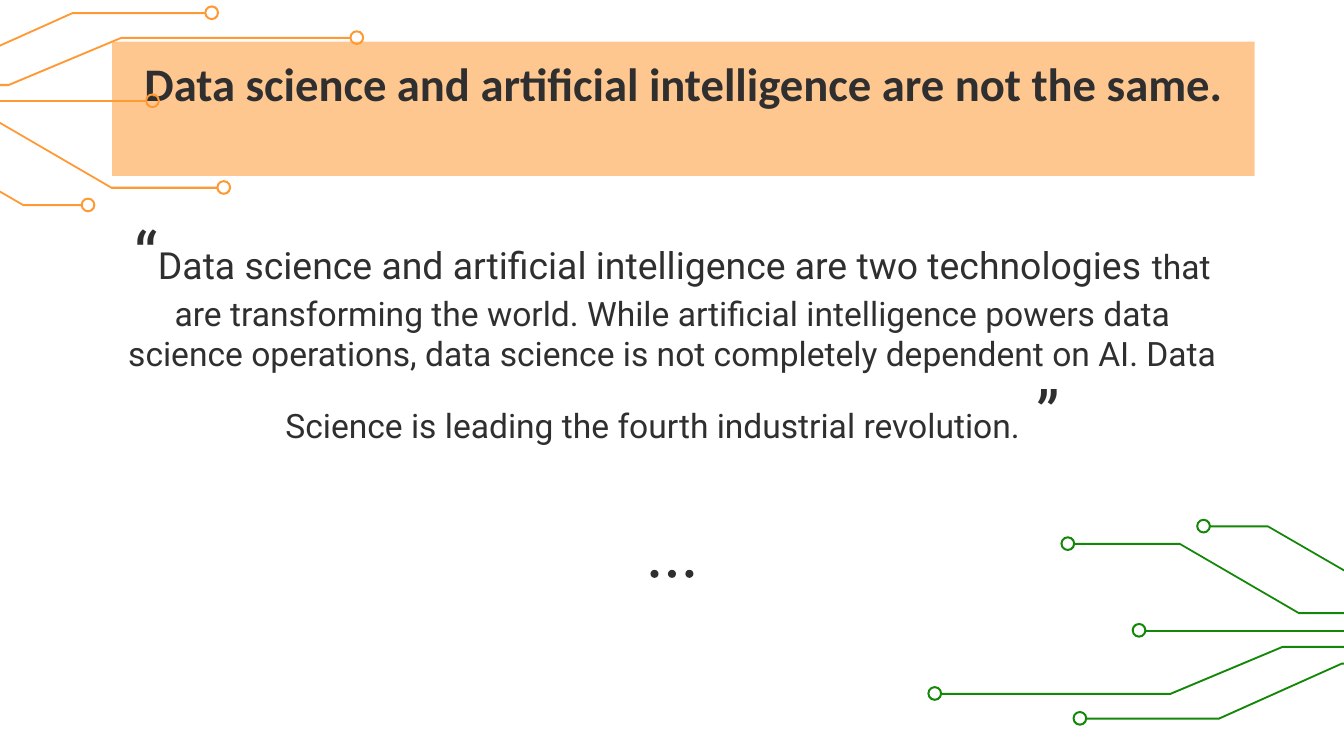
from dataclasses import dataclass

from lxml import etree
from pptx import Presentation
from pptx.dml.color import RGBColor
from pptx.enum.shapes import MSO_SHAPE
from pptx.enum.text import MSO_ANCHOR, MSO_AUTO_SIZE, PP_ALIGN
from pptx.oxml.ns import qn
from pptx.util import Pt

PX = 4572
DONUT, OVAL = MSO_SHAPE.DONUT, MSO_SHAPE.OVAL
TOP, BOTTOM = MSO_ANCHOR.TOP, MSO_ANCHOR.BOTTOM
CENTER, NO_FIT = PP_ALIGN.CENTER, MSO_AUTO_SIZE.NONE


@dataclass(frozen=True)
class Theme:
    """Colours, fonts and type sizes of the slide."""
    ink: RGBColor = RGBColor.from_string("302F2F")
    saffron: RGBColor = RGBColor.from_string("FF9933")
    green: RGBColor = RGBColor.from_string("138808")
    title_font: str = "Calibri"
    body_font: str = "Roboto"
    title: int = 25
    lead: int = 20
    body: int = 18
    mark: int = 35


THEME = Theme()
TITLE = "Data science and artificial intelligence are not the same."
QUOTE = [
    ("“", THEME.mark),
    ("Data science and artificial intelligence are two technologies ", THEME.lead),
    ("that are transforming the world. While artificial intelligence powers data "
     "science operations, data science is not completely dependent on AI. Data "
     "Science is leading the fourth industrial revolution.", THEME.body),
    (" ”", THEME.mark),
]
CIRCUIT_SIZE = (998, 308)
RING = 22
WIRES = [
    [(209, 37), (376, 37), (553, 140), (888, 140)],
    [(411, 11), (507, 11), (685, 114), (998, 114)],
    [(315, 166), (858, 166)],
    [(11, 260), (362, 260), (529, 190), (806, 190)],
    [(227, 297), (434, 297), (617, 215), (878, 215)],
]


def emu(*lengths):
    """Turn px lengths into EMU."""
    return [length * PX for length in lengths]


def paint(sp, color):
    """Give a shape a plain fill without line or shadow."""
    sp.fill.solid()
    sp.fill.fore_color.rgb = color
    sp.line.fill.background()
    sp.shadow.inherit = False


def place_text(sp, box, anchor, font, runs):
    """Move a placeholder to its box and set its one centred paragraph."""
    sp.left, sp.top, sp.width, sp.height = emu(*box)
    tf = sp.text_frame
    tf.word_wrap = True
    tf.auto_size = NO_FIT
    tf.vertical_anchor = anchor
    tf.margin_left = tf.margin_right = tf.margin_top = tf.margin_bottom = 20 * PX
    p = tf.paragraphs[0]
    p.alignment = CENTER
    p.line_spacing = 1.0
    p.space_before = Pt(0)
    p.font.name = font
    p.font.color.rgb = THEME.ink
    for text, size in runs:
        r = p.add_run()
        r.text = text
        r.font.size = Pt(size)
    return p


def add_title(s, box):
    """Place the heading on its translucent band."""
    sp = s.shapes.title
    p = place_text(sp, box, TOP, THEME.title_font, [(TITLE, THEME.title)])
    p.font.bold = True
    sp.fill.solid()
    sp.fill.fore_color.rgb = THEME.saffron
    color = sp.fill._xPr.find(qn("a:solidFill"))[0]
    etree.SubElement(color, qn("a:alpha")).set("val", "54000")


def add_quote(s, box):
    """Place the quotation in the subtitle placeholder."""
    place_text(s.placeholders[1], box, BOTTOM, THEME.body_font, QUOTE)


def add_dots(s, left, top):
    """Draw three evenly spaced dots."""
    group = s.shapes.add_group_shape()
    for i in range(3):
        paint(group.shapes.add_shape(OVAL, *emu(left + 26 * i, top, 12, 12)), THEME.ink)


def add_circuit(s, left, top, color, turned=False):
    """Draw the ringed wires in a box, turned by half a circle if asked."""
    group = s.shapes.add_group_shape()
    width, height = CIRCUIT_SIZE
    for wire in WIRES:
        (ring_x, ring_y), *bends = wire
        points = [(ring_x + RING // 2 - 1, ring_y), *bends]
        if turned:
            ring_x, ring_y = width - ring_x, height - ring_y
            points = [(width - x, height - y) for x, y in points]
        upper = [(left + x, top + y - 1) for x, y in points]
        lower = [(x, y + 3) for x, y in reversed(upper)]
        builder = group.shapes.build_freeform(*upper[0], scale=PX)
        builder.add_line_segments(upper[1:] + lower, close=True)
        paint(builder.convert_to_shape(), color)
        corner = left + ring_x - RING // 2, top + ring_y - RING // 2
        ring = group.shapes.add_shape(DONUT, *emu(*corner, RING, RING))
        ring.adjustments[0] = 0.14
        paint(ring, color)


def main():
    """Build the slide and save it."""
    prs = Presentation()
    prs.slide_width, prs.slide_height = emu(2000, 1125)
    s = prs.slides.add_slide(prs.slide_layouts[0])
    add_title(s, (167, 62, 1700, 200))
    add_quote(s, (164, 230, 1674, 462))
    add_dots(s, 968, 848)
    add_circuit(s, 1380, 772, THEME.green)
    add_circuit(s, -456, 8, THEME.saffron, turned=True)
    prs.save("out.pptx")


if __name__ == "__main__":
    main()
